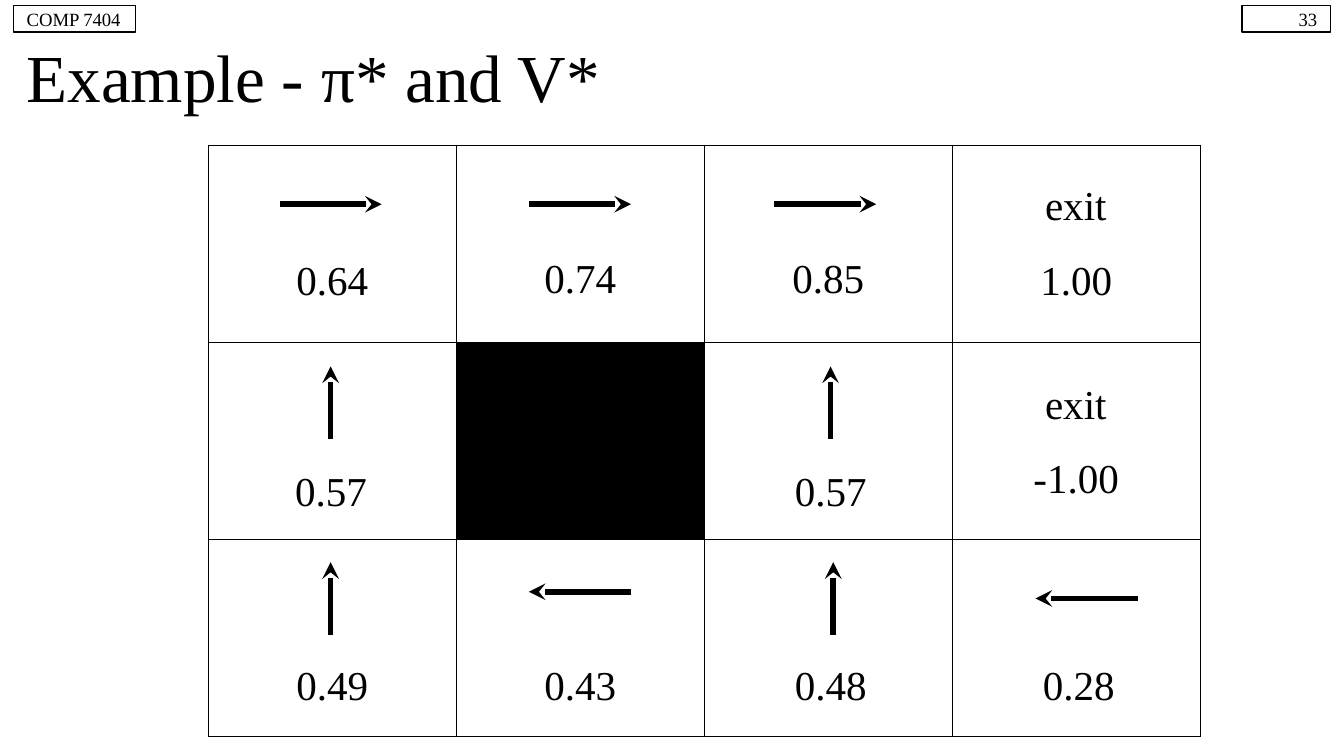
from dataclasses import dataclass

from lxml import etree
from pptx import Presentation, oxml
from pptx import util as u
from pptx.dml.color import RGBColor
from pptx.enum import shapes, text
from pptx.oxml import ns


@dataclass(frozen=True)
class Theme:
    """Colours, font and sizes of the slide."""
    ink: RGBColor = RGBColor(0, 0, 0)
    font: str = "Times New Roman"
    title: int = 36
    label: int = 22
    small: int = 10
    thin: float = 0.75
    thick: float = 3


@dataclass(frozen=True)
class Box:
    """A rectangle in inches."""
    left: float
    top: float
    width: float
    height: float

    def lengths(self):
        """Return the four sides as slide lengths."""
        return [u.Inches(n) for n in (self.left, self.top, self.width, self.height)]


@dataclass(frozen=True)
class State:
    """A grid state with its mark centre and the place of its value."""
    row: int
    column: int
    action: str
    value: str
    mark: tuple
    label: tuple


THEME = Theme()
COLUMNS, ROWS = 4, 3
LABEL_HEIGHT = 0.46
ACTIONS = {"right": (0.38, 0), "left": (-0.38, 0), "up": (0, -0.27)}
STATES = [
    State(0, 0, "right", "0.64", (0.91, 0.44), (0, 0.77)),
    State(0, 1, "right", "0.74", (0.92, 0.44), (0, 0.75)),
    State(0, 2, "right", "0.85", (0.9, 0.44), (0, 0.75)),
    State(0, 3, "exit", "1.00", (0.92, 0.44), (0, 0.77)),
    State(1, 0, "up", "0.57", (0.91, 0.45), (-0.01, 0.87)),
    State(1, 2, "up", "0.57", (0.94, 0.45), (0.02, 0.87)),
    State(1, 3, "exit", "-1.00", (0.92, 0.45), (0, 0.77)),
    State(2, 0, "up", "0.49", (0.91, 0.44), (0, 0.85)),
    State(2, 1, "left", "0.43", (0.92, 0.39), (0, 0.85)),
    State(2, 2, "up", "0.48", (0.96, 0.44), (0.02, 0.85)),
    State(2, 3, "left", "0.28", (1, 0.44), (0.02, 0.85)),
]


def write(shape, words, size, align, margin):
    """Write one line of text into a shape."""
    frame = shape.text_frame
    inset = u.Inches(margin)
    settings = {"word_wrap": True, "vertical_anchor": text.MSO_ANCHOR.MIDDLE,
                "margin_left": inset, "margin_right": inset,
                "margin_top": inset, "margin_bottom": inset}
    for name, value in settings.items():
        setattr(frame, name, value)
    paragraph = frame.paragraphs[0]
    paragraph.alignment = align
    run = paragraph.add_run()
    run.text = words
    for name, value in {"name": THEME.font, "size": u.Pt(size)}.items():
        setattr(run.font, name, value)
    run.font.color.rgb = THEME.ink


def add_text(slide, box, words, size, align, margin):
    """Add a text box."""
    write(slide.shapes.add_textbox(*box.lengths()), words, size, align, margin)


def add_rectangle(slide, box, filled):
    """Add a thinly outlined rectangle, solid or empty."""
    shape = slide.shapes.add_shape(shapes.MSO_SHAPE.RECTANGLE, *box.lengths())
    shape.shadow.inherit = False
    if filled:
        shape.fill.solid()
        shape.fill.fore_color.rgb = THEME.ink
    else:
        shape.fill.background()
    shape.line.color.rgb = THEME.ink
    shape.line.width = u.Pt(THEME.thin)
    return shape


def add_arrow(slide, x, y, reach):
    """Add an arrow centred on a point and pointing along its reach."""
    dx, dy = reach
    ends = [u.Inches(n) for n in (x - dx, y - dy, x + dx, y + dy)]
    arrow = slide.shapes.add_connector(shapes.MSO_CONNECTOR.STRAIGHT, *ends)
    arrow.line.color.rgb = THEME.ink
    arrow.line.width = u.Pt(THEME.thick)
    etree.SubElement(arrow.line._get_or_add_ln(), ns.qn("a:tailEnd"), type="stealth")
    etree.SubElement(arrow._element.spPr, ns.qn("a:effectLst"))


def outline_cell(cell):
    """Give a table cell thin borders and no fill."""
    properties = cell._tc.get_or_add_tcPr()
    for side in "LRTB":
        properties.append(oxml.parse_xml(
            f'<a:ln{side} {ns.nsdecls("a")} w="{u.Pt(THEME.thin)}"><a:solidFill>'
            f'<a:srgbClr val="{THEME.ink}"/></a:solidFill></a:ln{side}>'))
    cell.fill.background()


def cell_box(grid, row, column):
    """Return the box of one cell of the grid."""
    width, height = grid.width / COLUMNS, grid.height / ROWS
    return Box(grid.left + column * width, grid.top + row * height, width, height)


def add_grid(slide, box):
    """Add the outlined table and its blocked cell."""
    table = slide.shapes.add_table(ROWS, COLUMNS, *box.lengths()).table
    for name in ("first_row", "horz_banding"):
        setattr(table, name, False)
    for cell in table.iter_cells():
        outline_cell(cell)
    add_rectangle(slide, cell_box(box, 1, 1), True)


def add_state(slide, box, state):
    """Add the action and value of one state inside its cell."""
    x, y = box.left + state.mark[0], box.top + state.mark[1]
    labels = [(box.left + state.label[0], box.top + state.label[1], state.value)]
    if state.action in ACTIONS:
        add_arrow(slide, x, y, ACTIONS[state.action])
    else:
        labels.append((x - box.width / 2, y - LABEL_HEIGHT / 2, state.action))
    for left, top, words in labels:
        add_text(slide, Box(left, top, box.width, LABEL_HEIGHT), words,
                 THEME.label, text.PP_ALIGN.CENTER, 0.06)


def add_header(slide, box):
    """Add the title, page number and course tag."""
    add_text(slide, Box(box.left, box.top + 0.24, box.width, 0.57),
             "Example - π* and V*", THEME.title, text.PP_ALIGN.LEFT, 0.1)
    tags = [("33", box.left + box.width - 0.66, 0.66, text.PP_ALIGN.RIGHT),
            ("COMP 7404", box.left, 0.91, text.PP_ALIGN.LEFT)]
    for words, left, width, align in tags:
        shape = add_rectangle(slide, Box(left, box.top, width, 0.2), False)
        write(shape, words, THEME.small, align, 0.1)


def main():
    """Build and save the slide."""
    presentation = Presentation()
    presentation.slide_width = u.Inches(10)
    presentation.slide_height = u.Inches(10 * 9 / 16)
    slide = presentation.slides.add_slide(presentation.slide_layouts[6])
    add_header(slide, Box(0.1, 0.04, 9.8, 0.81))
    grid = Box(1.55, 1.08, 7.38, 4.4)
    add_grid(slide, grid)
    for state in STATES:
        add_state(slide, cell_box(grid, state.row, state.column), state)
    presentation.save("out.pptx")


if __name__ == "__main__":
    main()
